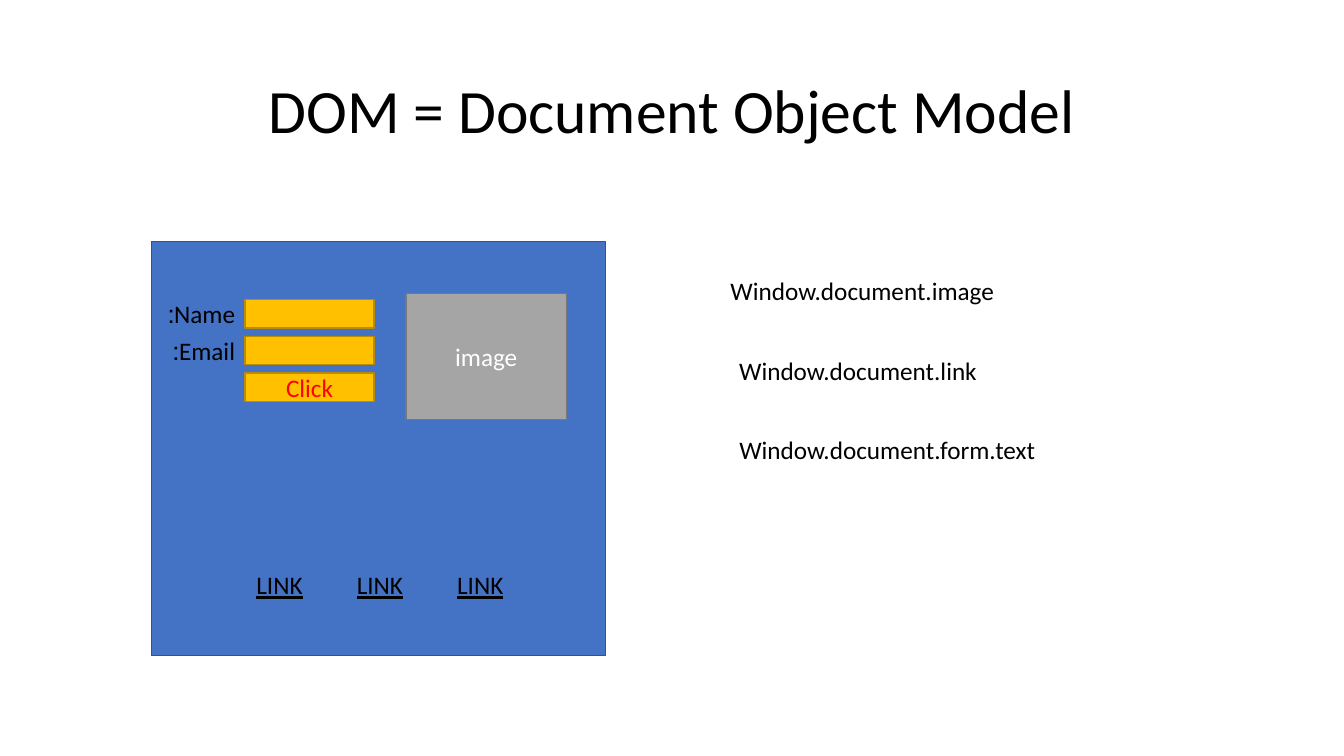
from dataclasses import dataclass

from pptx import Presentation
from pptx.dml.color import RGBColor
from pptx.enum import shapes, text
from pptx.slide import Slide
from pptx.text.text import TextFrame
from pptx.util import Pt

COLORS = {
    "black": "000000", "white": "FFFFFF", "red": "FF0000",
    "page": "4472C4", "page_edge": "31538F",
    "field": "FFC000", "field_edge": "BA8C00",
    "image": "A5A5A5", "image_edge": "787878",
}
LABEL_HEIGHT = 29
FIELD_LEFT, FIELD_TOP, FIELD_STEP = 175, 214, 26.2


@dataclass(frozen=True)
class Box:
    left: float
    top: float
    width: float
    height: float
    color: str
    wording: str = ""
    ink: str = "white"


@dataclass(frozen=True)
class Label:
    wording: str
    left: float
    top: float
    width: float
    underline: bool = False


def rgb(name: str) -> RGBColor:
    return RGBColor.from_string(COLORS[name])


def write(frame: TextFrame, wording: str, align: text.PP_ALIGN,
          ink: str = "black", size: float = 18, underline: bool = False) -> None:
    frame.text = wording
    line = frame.paragraphs[0]
    line.alignment = align
    line._p.get_or_add_pPr().set("rtl", "1")
    line.font.name = "Calibri"
    line.font.size = Pt(size)
    line.font.color.rgb = rgb(ink)
    if underline:
        line.font.underline = True


def draw_box(slide: Slide, box: Box) -> None:
    rect = slide.shapes.add_shape(
        shapes.MSO_SHAPE.RECTANGLE,
        Pt(box.left), Pt(box.top), Pt(box.width), Pt(box.height))
    rect.shadow.inherit = False
    rect.fill.solid()
    rect.fill.fore_color.rgb = rgb(box.color)
    rect.line.color.rgb = rgb(f"{box.color}_edge")
    rect.line.width = Pt(1)
    if box.wording:
        rect.text_frame.vertical_anchor = text.MSO_ANCHOR.MIDDLE
        write(rect.text_frame, box.wording, text.PP_ALIGN.CENTER, box.ink)


def draw_label(slide: Slide, label: Label) -> None:
    frame = slide.shapes.add_textbox(
        Pt(label.left), Pt(label.top), Pt(label.width), Pt(LABEL_HEIGHT)).text_frame
    frame.word_wrap = True
    frame.auto_size = text.MSO_AUTO_SIZE.SHAPE_TO_FIT_TEXT
    write(frame, label.wording, text.PP_ALIGN.RIGHT, underline=label.underline)


def draw_title(slide: Slide, wording: str) -> None:
    title = slide.shapes.title
    title.left, title.top, title.width, title.height = Pt(66), Pt(28.75), Pt(828), Pt(104.4)
    title.text_frame.vertical_anchor = text.MSO_ANCHOR.MIDDLE
    write(title.text_frame, wording, text.PP_ALIGN.CENTER, size=44)
    title.text_frame.paragraphs[0].line_spacing = 0.9


def main() -> None:
    deck = Presentation()
    deck.slide_width, deck.slide_height = Pt(960), Pt(540)
    slide = deck.slides.add_slide(deck.slide_layouts[5])
    draw_title(slide, "DOM = Document Object Model")

    page = Box(108, 172.4, 324.6, 296, "page")
    fields = [
        Box(FIELD_LEFT, FIELD_TOP + row * FIELD_STEP, 92.2, 20.3, "field", wording, "red")
        for row, wording in enumerate(("", "", "Click"))
    ]
    image = Box(290, 209.5, 114.7, 90, "image", "image")
    for box in (page, *fields, image):
        draw_box(slide, box)

    captions = [
        Label(wording, FIELD_LEFT - width, FIELD_TOP - 4.5 + row * FIELD_STEP, width)
        for row, (wording, width) in enumerate((("Name:", 63.4), ("Email:", 59.8)))
    ]
    links = [Label("LINK", FIELD_LEFT + col * 71.7, 403.2, 48.3, True) for col in range(3)]
    paths = [
        Label("Window.document.image", 512, 193, 205.2),
        Label("Window.document.link", 518.4, 250.3, 186.5),
        Label("Window.document.form.text", 518.4, 306.9, 228.2),
    ]
    for label in (*captions, *links, *paths):
        draw_label(slide, label)

    deck.save("out.pptx")


if __name__ == "__main__":
    main()
